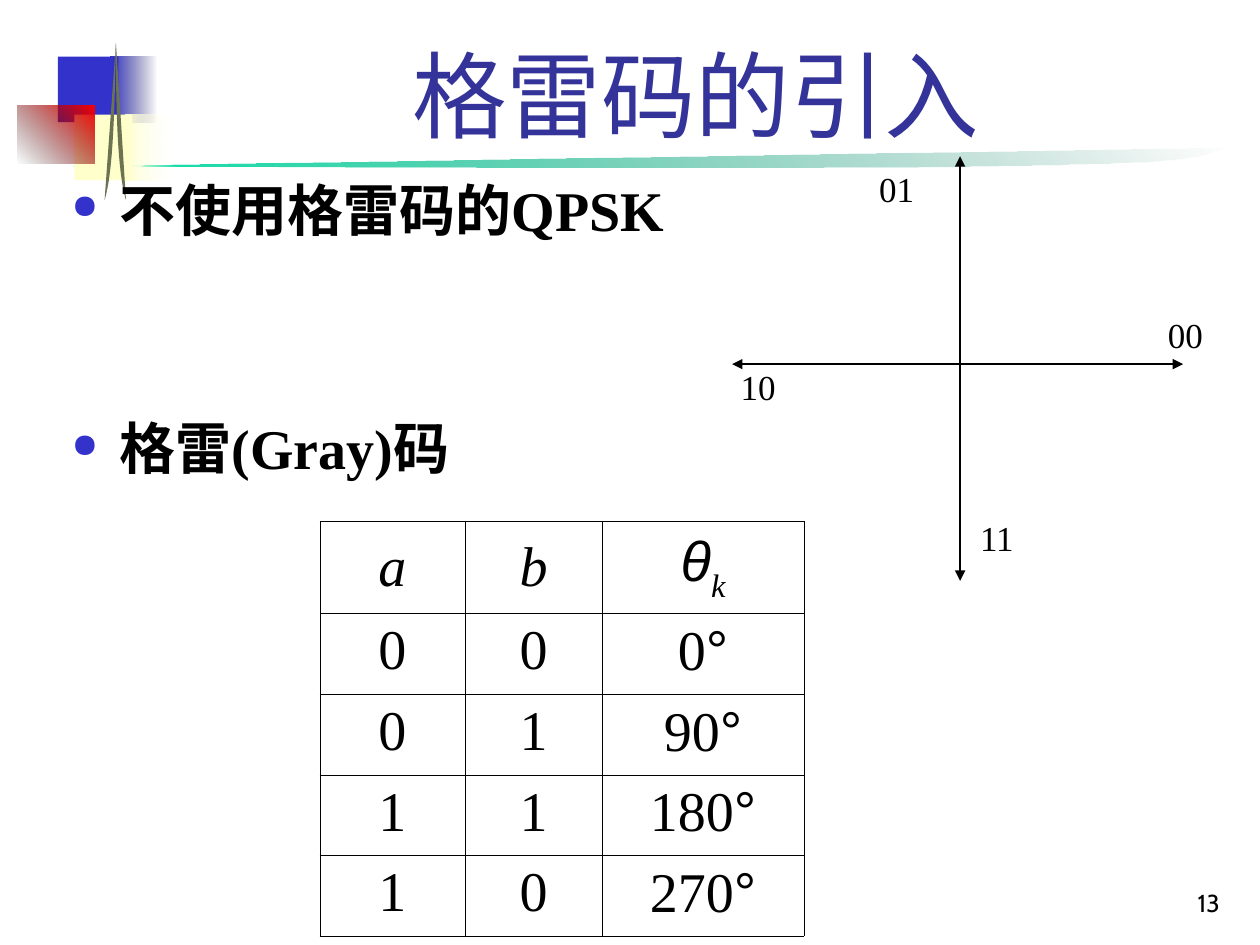
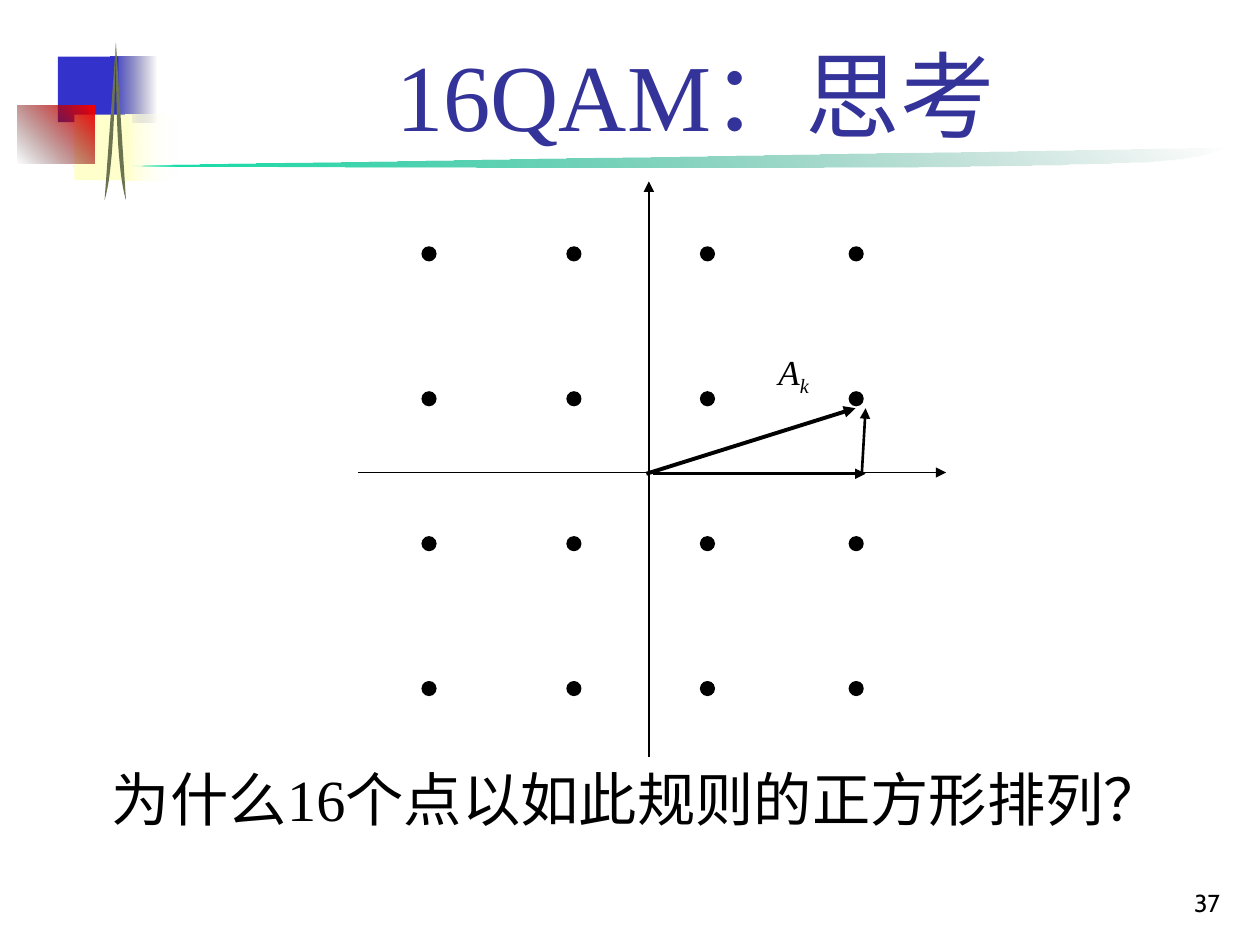
from dataclasses import dataclass
from itertools import product

from lxml import etree
from pptx import Presentation
from pptx import util as u
from pptx.dml.color import RGBColor
from pptx.enum import shapes, text
from pptx.oxml import ns


@dataclass(frozen=True)
class Theme:
    ink: str = "000000"
    title: str = "333399"
    blue: str = "3333CC"
    navy: str = "18185E"
    cream: str = "FFFFCC"
    white: str = "FFFFFF"
    red: str = "FF0000"
    dark: str = "100000"
    mint: str = "00E4A8"
    pine: str = "006A4E"
    olive: str = "6C7351"
    serif: str = "Times New Roman"
    sans: str = "Arial"
    num: str = "Cabin"
    head: float = 54
    body: float = 32
    ask: float = 33.3
    label: float = 20
    foot: float = 14


ALIGN = text.PP_ALIGN
ANCHOR = text.MSO_ANCHOR


def node(parent, tag, **attrs):
    item = etree.SubElement(parent, ns.qn("a:" + tag))
    for key, val in attrs.items():
        item.set(key, str(val))
    return item


def curve(start, *parts, steps=16):
    points = [start]
    for b, c, d in parts:
        a = points[-1]
        for i in range(1, steps + 1):
            t = i / steps
            mix = ((1 - t) ** 3, 3 * t * (1 - t) ** 2, 3 * t * t * (1 - t), t ** 3)
            points.append(tuple(sum(m * p[k] for m, p in zip(mix, (a, b, c, d)))
                                for k in (0, 1)))
    return points


class Deck:
    def __init__(self, theme):
        self.theme = theme
        self.prs = Presentation()
        self.prs.slide_width, self.prs.slide_height = u.Inches(10), u.Inches(7.5)
        self.slide = None

    def page(self, title, number):
        t = self.theme
        self.slide = self.prs.slides.add_slide(self.prs.slide_layouts[6])
        self.decor()
        self.text((7.7, 6.83, 2.08, 0.5), [number], ALIGN.RIGHT, ANCHOR.BOTTOM,
                  size=t.foot, name=t.num)
        self.text((1.26, 0.23, 8.52, 1.01), [title], ALIGN.CENTER, ANCHOR.BOTTOM,
                  size=t.head, color=t.title)

    def decor(self):
        t = self.theme
        swoosh = curve((0.58, 1.31), ((3.49, 1.32), (6.39, 1.34), (7.92, 1.31)),
                       ((9.44, 1.29), (9.48, 1.26), (9.75, 1.17)))
        self.free(swoosh, [(t.mint, 100), (t.pine, 0)], 315)
        for box, fill, angle in (
            ((0.46, 0.45, 0.48, 0.52), t.blue, 0),
            ((0.88, 0.45, 0.36, 0.52), [(t.blue, 100), (t.navy, 0)], 0),
            ((0.59, 0.91, 0.46, 0.52), t.cream, 0),
            ((1, 0.91, 0.4, 0.52), [(t.cream, 100), (t.white, 0)], 0),
            ((0.14, 0.84, 0.61, 0.46), [(t.dark, 0), (t.red, 100)], 315),
        ):
            self.shape(shapes.MSO_SHAPE.RECTANGLE, box, fill, angle)
        for near, mid, end in ((0.91, 0.9, 0.83), (0.92, 0.93, 1)):
            self.free(curve((0.92, 0.34), ((near, 0.85), (mid, 1.36), (end, 1.59))),
                      t.olive)

    def paint(self, shape, fill, angle=0, edge=None):
        shape.shadow.inherit = False
        if isinstance(fill, str):
            shape.fill.solid()
            shape.fill.fore_color.rgb = RGBColor.from_string(fill)
        else:
            shape.fill.gradient()
            grad = shape._element.spPr.find(ns.qn("a:gradFill"))
            for child in list(grad):
                grad.remove(child)
            stops = node(grad, "gsLst")
            for pos, (color, alpha) in zip((0, 100000), fill):
                tint = node(node(stops, "gs", pos=pos), "srgbClr", val=color)
                node(tint, "alpha", val=alpha * 1000)
            node(grad, "lin", ang=angle * 60000, scaled=0)
        if edge:
            shape.line.color.rgb = RGBColor.from_string(fill)
            shape.line.width = u.Pt(edge)
        else:
            shape.line.fill.background()

    def shape(self, kind, box, fill, angle=0, edge=None):
        item = self.slide.shapes.add_shape(kind, *map(u.Inches, box))
        self.paint(item, fill, angle, edge)

    def free(self, points, fill, angle=0):
        points = [tuple(map(u.Inches, p)) for p in points]
        form = self.slide.shapes.build_freeform(*points[0])
        form.add_line_segments(points[1:], close=True)
        self.paint(form.convert_to_shape(), fill, angle)

    def line(self, start, end, width=0.75, ends=("tailEnd",)):
        item = self.slide.shapes.add_connector(
            shapes.MSO_CONNECTOR.STRAIGHT, *map(u.Inches, start + end))
        item.line.color.rgb = RGBColor.from_string(self.theme.ink)
        item.line.width = u.Pt(width)
        for tag in ends:
            node(item.line._get_or_add_ln(), tag, type="triangle")
        node(item._element.spPr, "effectLst")

    def runs(self, para, parts, **form):
        t = self.theme
        for part in parts:
            words, own = part if isinstance(part, tuple) else (part, {})
            look = {"name": t.serif, "size": t.body, "color": t.ink, **form, **own}
            color, drop = look.pop("color"), look.pop("drop", 0)
            look["size"] = u.Pt(look["size"])
            run = para.add_run()
            run.text = words
            for key, val in look.items():
                setattr(run.font, key, val)
            run.font.color.rgb = RGBColor.from_string(color)
            if drop:
                run._r.get_or_add_rPr().set("baseline", str(-drop * 1000))

    def frame(self, box, anchor=ANCHOR.TOP):
        frame = self.slide.shapes.add_textbox(*map(u.Inches, box)).text_frame
        frame.word_wrap = True
        frame.vertical_anchor = anchor
        return frame

    def text(self, box, parts, align=ALIGN.JUSTIFY, anchor=ANCHOR.TOP, **form):
        para = self.frame(box, anchor).paragraphs[0]
        para.alignment = align
        self.runs(para, parts, **form)

    def bullets(self, box, items, gap):
        frame = self.frame(box)
        for i, words in enumerate(items):
            para = frame.add_paragraph() if i else frame.paragraphs[0]
            prop = para._p.get_or_add_pPr()
            prop.set("marL", str(u.Inches(0.38)))
            prop.set("indent", str(-u.Inches(0.38)))
            node(node(prop, "buClr"), "srgbClr", val=self.theme.blue)
            node(prop, "buSzPct", val=60000)
            node(prop, "buChar", char="●")
            if i:
                para.space_before = u.Pt(gap)
            self.runs(para, [words], bold=True)

    def table(self, box, cols, tall, rows):
        grid = self.slide.shapes.add_table(
            len(rows), len(cols), *map(u.Inches, box)).table
        grid.first_row = grid.horz_banding = False
        for col, width in zip(grid.columns, cols):
            col.width = u.Inches(width)
        for row, height in zip(grid.rows, tall):
            row.height = u.Inches(height)
        for r, c in product(range(len(rows)), range(len(cols))):
            cell = grid.cell(r, c)
            cell.vertical_anchor = ANCHOR.TOP if r else ANCHOR.MIDDLE
            para = cell.text_frame.paragraphs[0]
            para.alignment = ALIGN.CENTER
            self.runs(para, rows[r][c], italic=not r)
            prop = cell._tc.get_or_add_tcPr()
            for side in "LRTB":
                edge = node(prop, "ln" + side, w=u.Pt(0.45))
                node(node(edge, "solidFill"), "srgbClr", val=self.theme.ink)
            cell.fill.background()


def gray(deck):
    t = deck.theme
    deck.page("格雷码的引入", "13")
    deck.bullets((0.47, 1.34, 9.43, 6.16), ("不使用格雷码的QPSK", "格雷(Gray)码"), 98)
    rows = [[["a"], ["b"], [("θ", {"name": t.sans}), ("k", {"drop": 30})]]]
    for a, b, deg in ("0", "0", "0"), ("0", "1", "90"), ("1", "1", "180"), ("1", "0", "270"):
        rows.append([[a], [b], [deg, ("°", {"name": t.sans})]])
    deck.table((2.54, 4.14, 3.84, 3.29), (1.15, 1.09, 1.6), [0.73] + [0.64] * 4, rows)
    both = ("headEnd", "tailEnd")
    deck.line((5.81, 2.89), (9.39, 2.89), ends=both)
    deck.line((7.62, 1.24), (7.62, 4.61), ends=both)
    for bits, x, y in (("00", 9.17, 2.44), ("01", 6.88, 1.28),
                       ("10", 5.78, 2.85), ("11", 7.68, 4.05)):
        deck.text((x, y, 0.74, 0.49), [bits], size=t.label)


def qam(deck):
    t = deck.theme
    deck.page("16QAM：思考", "37")
    deck.text((0.79, 6.01, 9.21, 0.98), ["为什么16个点以如此规则的正方形排列？"],
              ALIGN.LEFT, size=t.ask)
    deck.text((6.08, 2.73, 0.61, 0.7), ["A", ("k", {"drop": 25})],
              size=t.label, italic=True)
    for start, end, width in (
        ((5.18, 3.76), (6.87, 3.76), 1.5),
        ((2.84, 3.75), (7.51, 3.75), 0.75),
        ((5.15, 6.01), (5.15, 1.44), 0.75),
        ((5.13, 3.76), (6.79, 3.24), 2.25),
        ((6.84, 3.76), (6.87, 3.24), 1.5),
    ):
        deck.line(start, end, width)
    for x, row in product((3.35, 4.5, 5.56, 6.74), range(4)):
        deck.shape(shapes.MSO_SHAPE.OVAL, (x, 1.96 + 1.15 * row, 0.11, 0.11),
                   t.ink, edge=0.75)


def main():
    deck = Deck(Theme())
    gray(deck)
    qam(deck)
    deck.prs.save("out.pptx")


if __name__ == "__main__":
    main()
